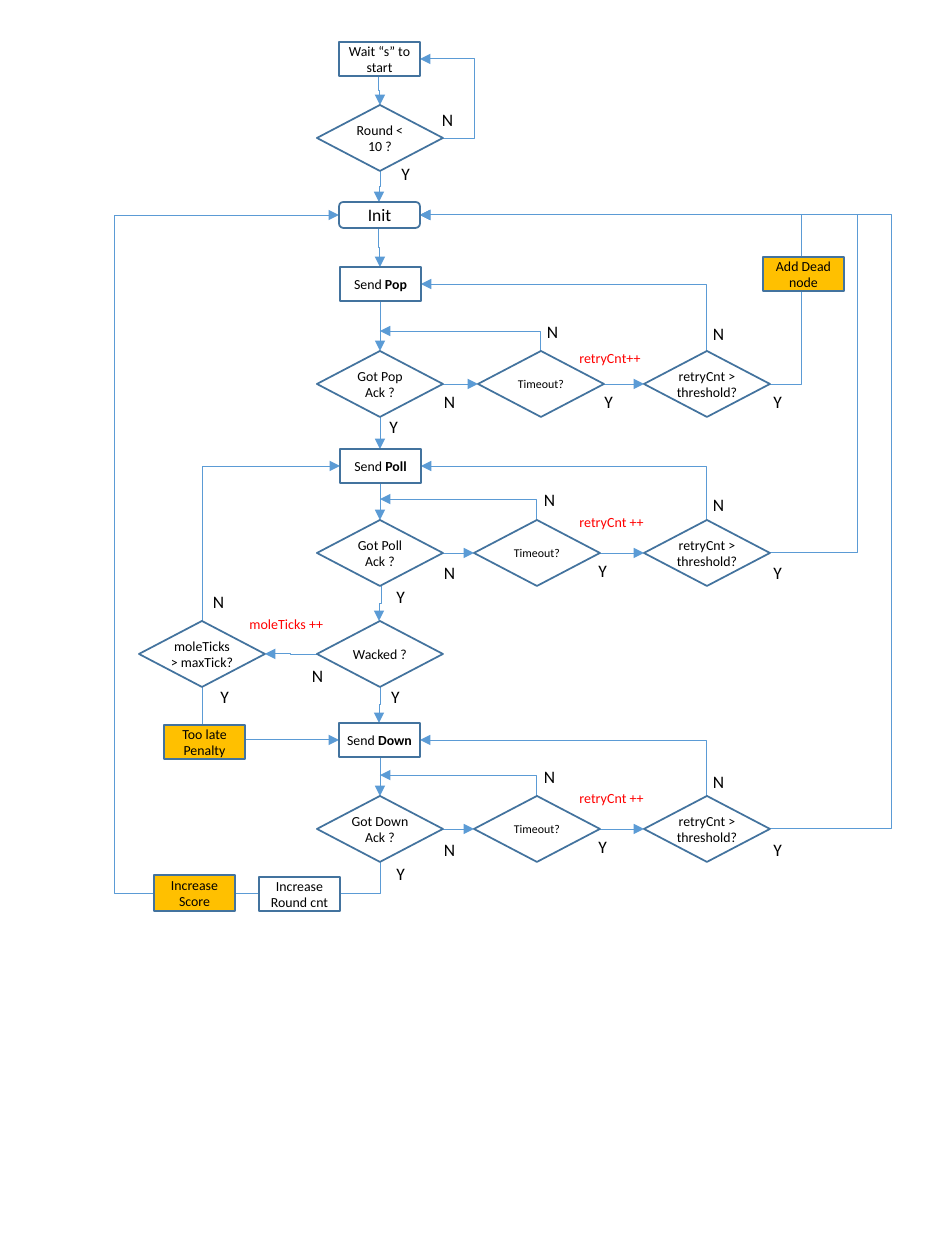
import pptx
import pptx.util
import pptx.dml.color
import pptx.enum.shapes
import pptx.enum.text
import pptx.oxml
import pptx.oxml.ns

rgb = pptx.dml.color.RGBColor.from_string
SHAPE = pptx.enum.shapes.MSO_SHAPE
CONNECTOR = pptx.enum.shapes.MSO_CONNECTOR
CENTER = pptx.enum.text.PP_ALIGN.CENTER
MIDDLE = pptx.enum.text.MSO_ANCHOR.MIDDLE
qn = pptx.oxml.ns.qn
NS = pptx.oxml.ns.nsdecls("a")


def px(pixels):
    return pptx.util.Emu(round(pixels * 914400 / 126))


def route(start, end, first="h", bends=None):
    """Draw an arrow; first is the axis of its first leg, bends its turning coordinates."""
    (x1, y1), (x2, y2) = start, end
    straight = x1 == x2 or y1 == y2
    kind = CONNECTOR.STRAIGHT if straight else CONNECTOR.ELBOW
    box = x1, y1, x2, y2
    turned = first == "v" and not straight
    if turned:
        # A vertical first leg is a horizontal one turned by 90 degrees
        cx, cy, dx, dy = (x1 + x2) / 2, (y1 + y2) / 2, x2 - x1, y2 - y1
        box = cx - dy / 2, cy + dx / 2, cx + dy / 2, cy - dx / 2
    arrow = slide.shapes.add_connector(kind, *map(px, box))
    arrow.line.color.rgb = rgb("5B9BD5")
    arrow.line.width = pptx.util.Pt(0.5)
    properties = arrow._element.spPr
    if turned:
        properties.find(qn("a:xfrm")).set("rot", "5400000")
    if bends is not None and not straight:
        geometry = properties.find(qn("a:prstGeom"))
        geometry.set("prst", f"bentConnector{len(bends) + 2}")
        adjustments = geometry.get_or_add_avLst()
        for i, bend in enumerate(bends):
            axis = (i + (first == "v")) % 2
            share = (bend - start[axis]) / (end[axis] - start[axis])
            adjustments.append(pptx.oxml.parse_xml(
                f'<a:gd {NS} name="adj{i + 1}" fmla="val {round(share * 100000)}"/>'))
    arrow.line._get_or_add_ln().append(pptx.oxml.parse_xml(f'<a:tailEnd {NS} type="triangle"/>'))
    properties.append(pptx.oxml.parse_xml(f"<a:effectLst {NS}/>"))


deck = pptx.Presentation()
deck.slide_width, deck.slide_height = px(945), px(1260)
slide = deck.slides.add_slide(deck.slide_layouts[6])

# Steps: shape, left, top, width, height, text, bold ending, size, fill
BOX_W, BOX_H = 81, 34
ASK_W, ASK_H = 126, 66
MAIN_X, RETRY_X = 317, 644
AXIS_X = MAIN_X + ASK_W // 2
INIT_LEFT, INIT_RIGHT = (339, 215), (420, 215)
steps = [
    (SHAPE.ROUNDED_RECTANGLE, 339, 202, BOX_W, 26, "Init", "", 10, "FFFFFF"),
    (SHAPE.RECTANGLE, 339, 42, BOX_W, BOX_H, "Wait “s” to start", "", 7.9, None),
    (SHAPE.RECTANGLE, 164, 725, BOX_W, BOX_H, "Too late\nPenalty", "", 7.9, "FFC000"),
    (SHAPE.RECTANGLE, 154, 875, BOX_W, 36, "Increase Score", "", 7.9, "FFC000"),
    (SHAPE.RECTANGLE, 259, 877, BOX_W, BOX_H, "Increase Round cnt", "", 7.9, "FFFFFF"),
    (SHAPE.RECTANGLE, 763, 257, BOX_W, BOX_H, "Add Dead node", "", 7.9, "FFC000"),
]
questions = [
    (MAIN_X, 105, "Round < 10 ?", 7.9),
    (MAIN_X, 621, "Wacked ?", 7.9),
    (139, 621, "moleTicks > maxTick?", 7.9),
]

# Send, acknowledge and retry stages
stages = [
    ("Pop", 340, 267, 351, 478, 331, 801),
    ("Poll", 340, 449, 520, 474, 499, 857),
    ("Down", 339, 723, 796, 474, 775, 891),
]
for command, send_x, send_y, ask_y, timeout_x, loop_y, return_x in stages:
    steps.append((SHAPE.RECTANGLE, send_x, send_y, BOX_W, BOX_H, "Send ", command, 7.9, None))
    questions += [
        (MAIN_X, ask_y, f"Got {command} Ack ?", 7.9),
        (timeout_x, ask_y, "Timeout?", 6.8),
        (RETRY_X, ask_y, "retryCnt > threshold?", 7.9),
    ]
    mid_y = ask_y + ASK_H // 2
    send_right = send_x + BOX_W, send_y + BOX_H // 2
    route((AXIS_X, send_y + BOX_H), (AXIS_X, ask_y))
    route((MAIN_X + ASK_W, mid_y), (timeout_x, mid_y))
    route((timeout_x + ASK_W, mid_y), (RETRY_X, mid_y))
    route((timeout_x + ASK_W // 2, ask_y), (AXIS_X, loop_y), "v", [])
    route((RETRY_X + ASK_W // 2 - 1, ask_y), send_right, "v", [])
    route((RETRY_X + ASK_W, mid_y), INIT_RIGHT, "h", [return_x])
steps += [(SHAPE.DIAMOND, x, y, ASK_W, ASK_H, text, "", size, None)
          for x, y, text, size in questions]

# Main flow downwards
for x1, y1, x2, y2 in [(379, 76, 380, 105), (380, 171, 379, 202), (379, 228, 380, 267),
                       (380, 417, 380, 449), (381, 586, 379, 621), (380, 687, 379, 723)]:
    route((x1, y1), (x2, y2), "v")

# Returns and the missed-mole branch
route((443, 138), (420, 59), "h", [475])
route((317, 655), (265, 654))
route((202, 621), (340, 466), "v", [])
route((202, 687), (339, 740), "v", [])
route((AXIS_X, 862), INIT_LEFT, "v", [893, 115])

# Boxes and diamonds
for preset, x, y, w, h, text, bold, size, fill in steps:
    step = slide.shapes.add_shape(preset, px(x), px(y), px(w), px(h))
    step.shadow.inherit = False
    step.line.color.rgb = rgb("43739E")
    step.line.width = pptx.util.Pt(1)
    if fill:
        step.fill.solid()
        step.fill.fore_color.rgb = rgb(fill)
    else:
        step.fill.background()
    frame = step.text_frame
    frame.text = text
    frame.word_wrap = True
    frame.vertical_anchor = MIDDLE
    frame.margin_left = frame.margin_right = px(0 if preset == SHAPE.DIAMOND else 7)
    frame.margin_top = frame.margin_bottom = px(4)
    if bold:
        ending = frame.paragraphs[0].add_run()
        ending.text = bold
        ending.font.bold = True
    for paragraph in frame.paragraphs:
        paragraph.alignment = CENTER
        for run in paragraph.runs:
            run.font.name = "Calibri"
            run.font.size = pptx.util.Pt(size)
            run.font.color.rgb = rgb("000000")

# Answers and counters
answers = {
    "Y": [(394, 163), (382, 416), (597, 391), (766, 391), (389, 586), (384, 686), (591, 560),
          (766, 562), (213, 686), (389, 863), (591, 836), (766, 839)],
    "N": [(436, 109), (438, 391), (541, 321), (707, 323), (438, 562), (538, 489), (707, 494),
          (306, 665), (207, 591), (438, 839), (538, 766), (707, 771)],
}
labels = [(answer, x, y, 23, 21, 10, "000000")
          for answer, spots in answers.items() for x, y in spots]
labels += [(counter, x, y, w, 30, 8, "FF0000") for counter, x, y, w in [
    ("retryCnt++", 567, 343, 91), ("retryCnt ++", 567, 507, 93),
    ("moleTicks ++", 237, 609, 103), ("retryCnt ++", 567, 783, 93)]]
for text, x, y, w, h, size, color in labels:
    label = slide.shapes.add_textbox(px(x), px(y), px(w), px(h))
    frame = label.text_frame
    frame.text = text
    paragraph = frame.paragraphs[0]
    if text in answers:
        frame.word_wrap = True
        frame.margin_left = frame.margin_right = frame.margin_top = frame.margin_bottom = 0
        paragraph.alignment = CENTER
    else:
        paragraph.alignment = pptx.enum.text.PP_ALIGN.LEFT
    font = paragraph.runs[0].font
    font.name = "Calibri"
    font.size = pptx.util.Pt(size)
    font.color.rgb = rgb(color)

deck.save("out.pptx")
